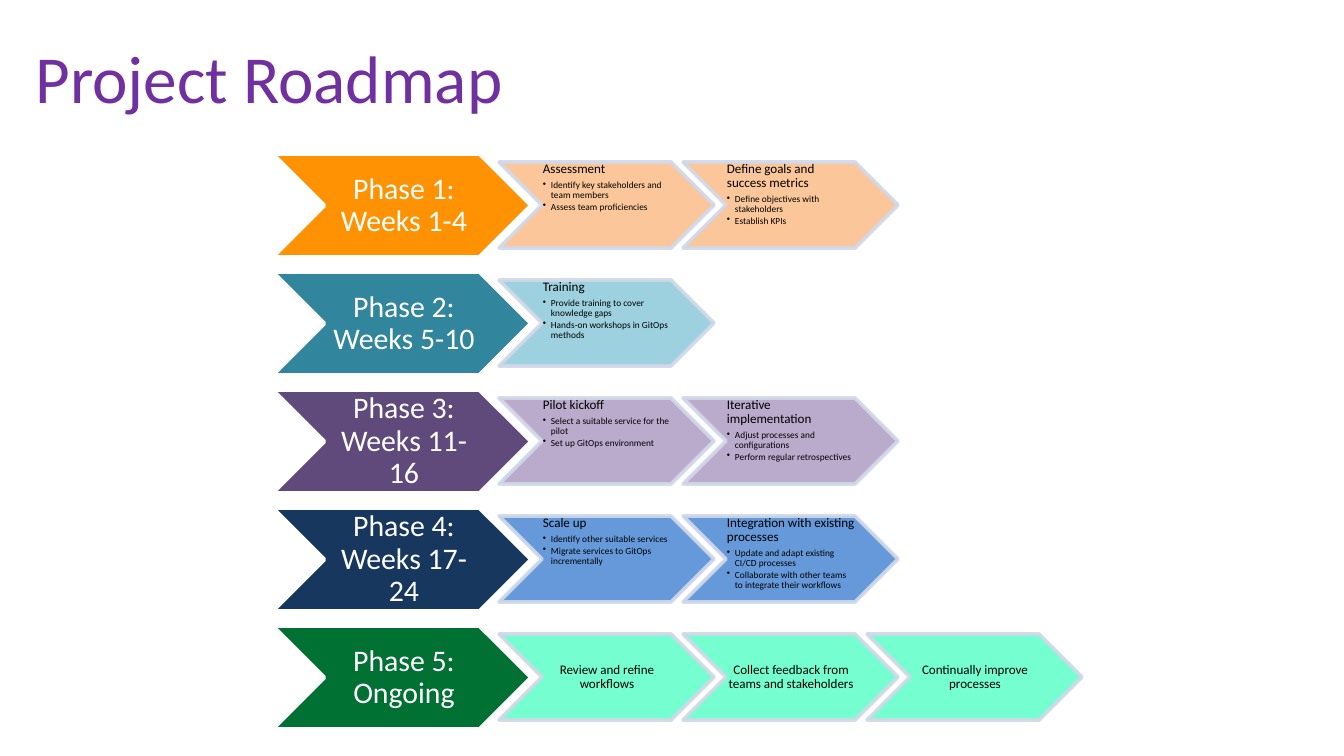
import dataclasses

import lxml.etree
import pptx
import pptx.dml.color
import pptx.enum.shapes
import pptx.enum.text
import pptx.oxml.ns
import pptx.util

SCALE = 914400 / 134.4
ALIGN = pptx.enum.text.PP_ALIGN
ANCHOR = pptx.enum.text.MSO_ANCHOR
qn = pptx.oxml.ns.qn


@dataclasses.dataclass(frozen=True)
class Theme:
    font: str = "Calibri"
    title: str = "7030A0"
    light: str = "FFFFFF"
    dark: str = "000000"
    step_line: str = "D0D8E8"
    title_size: int = 36
    phase_size: int = 16
    step_size: int = 7
    bullet_size: int = 5
    line_width: int = 2
    step_alpha: int = 90


PHASES = [
    ("Phase 1: Weeks 1-4", "FE9202", "FAC090", [
        ("Assessment", ["Identify key stakeholders and team members",
                        "Assess team proficiencies"]),
        ("Define goals and success metrics", ["Define objectives with stakeholders",
                                              "Establish KPIs"]),
    ]),
    ("Phase 2: Weeks 5-10", "31859C", "93CDDD", [
        ("Training", ["Provide training to cover knowledge gaps",
                      "Hands-on workshops in GitOps methods"]),
    ]),
    ("Phase 3: Weeks 11-16", "604A7B", "B3A2C7", [
        ("Pilot kickoff", ["Select a suitable service for the pilot",
                           "Set up GitOps environment"]),
        ("Iterative implementation", ["Adjust processes and configurations",
                                      "Perform regular retrospectives"]),
    ]),
    ("Phase 4: Weeks 17-24", "17375E", "558ED5", [
        ("Scale up", ["Identify other suitable services",
                      "Migrate services to GitOps incrementally"]),
        ("Integration with existing processes", [
            "Update and adapt existing CI/CD processes",
            "Collaborate with other teams to integrate their workflows"]),
    ]),
    ("Phase 5: Ongoing", "007033", "66FFCC", [
        ("Review and refine workflows", []),
        ("Collect feedback from teams and stakeholders", []),
        ("Continually improve processes", []),
    ]),
]


def px(n):
    return pptx.util.Emu(round(n * SCALE))


def rgb(color):
    return pptx.dml.color.RGBColor.from_string(color)


def write(p, text, *, font, size, color, align=ALIGN.LEFT, spacing=None, after=0, bullet=False):
    p.alignment = align
    if spacing:
        p.line_spacing = spacing
        p.space_after = pptx.util.Pt(after * size)
    if bullet:
        p.level = 1
        pPr = p._p.get_or_add_pPr()
        pPr.set("marL", str(px(8)))
        pPr.set("indent", str(px(-8)))
        lxml.etree.SubElement(pPr, qn("a:buChar"), char="•")
    r = p.add_run()
    r.text = text
    r.font.name = font
    r.font.size = pptx.util.Pt(size)
    r.font.color.rgb = rgb(color)


class Roadmap:
    def __init__(self, prs, theme):
        self.theme = theme
        self.s = prs.slides.add_slide(prs.slide_layouts[5])

    def title(self, text, x, y, w, h):
        sp = self.s.shapes.title
        sp.left, sp.top, sp.width, sp.height = map(px, (x, y, w, h))
        tf = sp.text_frame
        tf.vertical_anchor = ANCHOR.MIDDLE
        tf.auto_size = pptx.enum.text.MSO_AUTO_SIZE.NONE
        write(tf.paragraphs[0], text, font=self.theme.font,
              size=self.theme.title_size, color=self.theme.title)

    def chevron(self, x, y, w, h, fill, line, alpha=100):
        sp = self.s.shapes.add_shape(
            pptx.enum.shapes.MSO_SHAPE.CHEVRON, *map(px, (x, y, w, h)))
        sp.shadow.inherit = False
        sp.fill.solid()
        sp.fill.fore_color.rgb = rgb(fill)
        sp.line.color.rgb = rgb(line)
        sp.line.width = pptx.util.Pt(self.theme.line_width)
        if alpha < 100:
            for clr in sp._element.spPr.iter(qn("a:srgbClr")):
                lxml.etree.SubElement(clr, qn("a:alpha"), val=str(alpha * 1000))

    def text_box(self, x, y, w, h, anchor, margins):
        sp = self.s.shapes.add_textbox(*map(px, (x, y, w, h)))
        tf = sp.text_frame
        tf.word_wrap = True
        tf.vertical_anchor = anchor
        tf.margin_left, tf.margin_top, tf.margin_right, tf.margin_bottom = map(px, margins)
        return tf

    def phase(self, text, x, y, color):
        t = self.theme
        self.chevron(x, y, 258, 103, color, t.light)
        tf = self.text_box(x + 52, y, 155, 103, ANCHOR.MIDDLE, (3, 1, 0, 1))
        write(tf.paragraphs[0], text, font=t.font, size=t.phase_size, color=t.light,
              align=ALIGN.CENTER, spacing=0.9, after=0.35)

    def step(self, heading, bullets, x, y, color):
        t = self.theme
        self.chevron(x, y, 215, 86, color, t.step_line, t.step_alpha)
        anchor = ANCHOR.TOP if bullets else ANCHOR.MIDDLE
        tf = self.text_box(x + 43, y, 129, 86, anchor, (1, 0, 0, 0))
        write(tf.paragraphs[0], heading, font=t.font, size=t.step_size, color=t.dark,
              align=ALIGN.LEFT if bullets else ALIGN.CENTER, spacing=0.9, after=0.35)
        for bullet in bullets:
            write(tf.add_paragraph(), bullet, font=t.font, size=t.bullet_size,
                  color=t.dark, spacing=0.9, after=0.15, bullet=True)


def main():
    prs = pptx.Presentation()
    prs.slide_width, prs.slide_height = px(1344), px(756)
    roadmap = Roadmap(prs, Theme())
    roadmap.title("Project Roadmap", 22, 19, 1212, 115)
    for row, (name, color, tint, steps) in enumerate(PHASES):
        y = 154 + 118 * row
        roadmap.phase(name, 273, y, color)
        for col, (heading, bullets) in enumerate(steps):
            roadmap.step(heading, bullets, 499 + 184 * col, y + 8, tint)
    prs.save("out.pptx")


if __name__ == "__main__":
    main()
